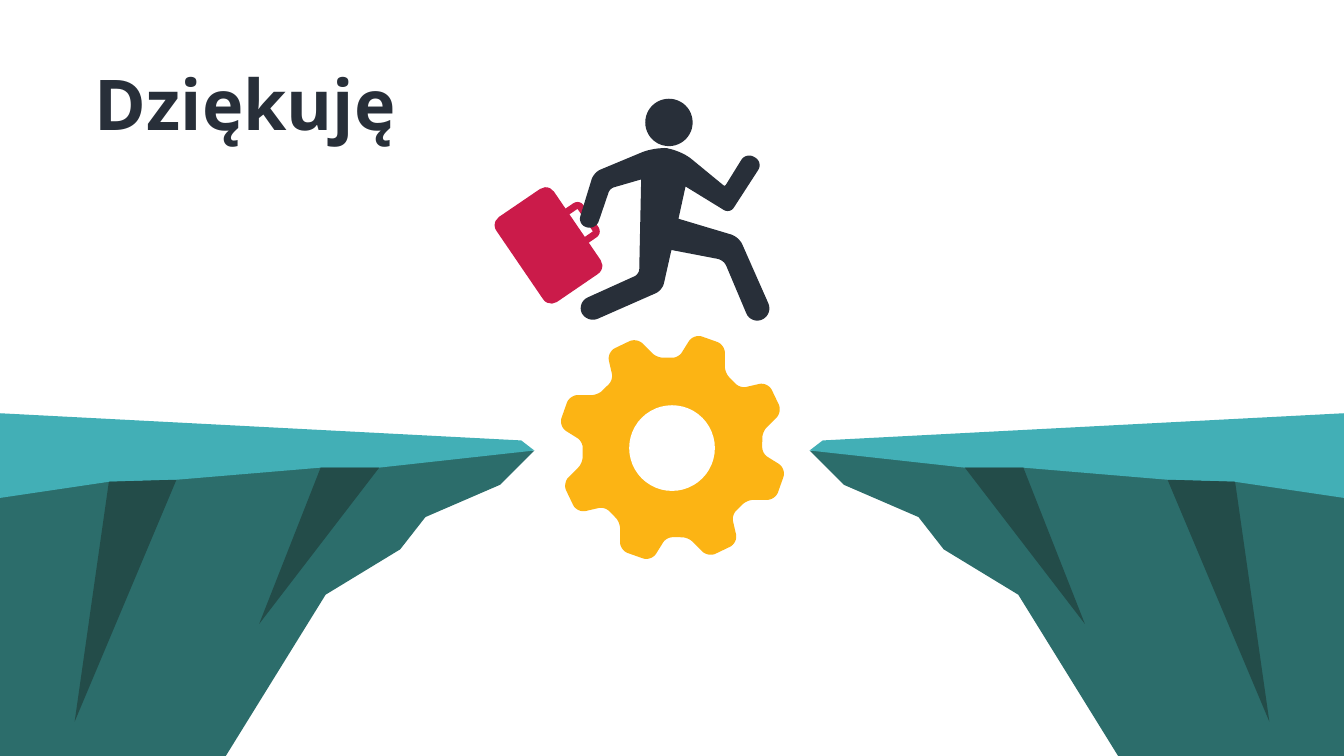
from dataclasses import dataclass
from math import cos, hypot, radians, sin

from pptx import Presentation
from pptx.dml.color import RGBColor
from pptx.enum.shapes import MSO_SHAPE
from pptx.enum.text import MSO_ANCHOR, PP_ALIGN
from pptx.util import Inches, Pt

SLIDE_WIDTH, SLIDE_HEIGHT = 13.33, 7.5
NAVY, RED, YELLOW, WHITE = "282F39", "CB1B4A", "FCB414", "FFFFFF"
ROCK, GRASS, CRACK = "2C6D6B", "42AFB6", "234C49"
TITLE_FONT = "Noto Sans"
CURVE_STEPS = 8

Point = tuple[float, float]
Corner = tuple[float, float, float]  # x, y, length rounded off each side


@dataclass
class Facet:
    color: str
    points: list[Point]


@dataclass
class Preset:
    kind: MSO_SHAPE
    left: float
    top: float
    width: float
    height: float
    fill: str | None = None
    line: str | None = None
    line_width: float = 0
    rotation: float = 0
    rounding: float | None = None


# Cliff on the left side; the right one is its mirror image
CLIFF = [
    Facet(ROCK, [(4.96, 4.81), (4.22, 5.13), (3.97, 5.45), (3.23, 5.9), (2.24, 7.5),
                 (0, 7.5), (0, 4.78), (5.3, 4.47)]),
    Facet(GRASS, [(5.3, 4.47), (3.76, 4.64), (3.18, 4.64), (1.75, 4.76), (1.08, 4.78),
                  (0, 4.94), (0, 4.1), (5.17, 4.37)]),
    Facet(CRACK, [(0.74, 7.16), (1.08, 4.78), (1.75, 4.76)]),
    Facet(CRACK, [(2.57, 6.19), (3.18, 4.64), (3.76, 4.64)]),
]

# One gear tooth, relative to the gear centre
GEAR_CENTER = (6.67, 4.44)
TOOTH_COUNT = 8
TOOTH: list[Corner] = [
    (0.06, -0.89, 0.06), (0.21, -1.13, 0.09), (0.52, -1.02, 0.08), (0.52, -0.74, 0.06),
]
GEAR_HOLE = Preset(MSO_SHAPE.OVAL, 6.24, 4.02, 0.85, 0.85, WHITE)

BRIEFCASE = [
    Preset(MSO_SHAPE.ROUNDED_RECTANGLE, 5.56, 2.11, 0.34, 0.25, line=RED, line_width=5,
           rotation=55.7, rounding=0.142),
    Preset(MSO_SHAPE.ROUNDED_RECTANGLE, 4.93, 2.09, 1.02, 0.69, RED,
           rotation=55.7, rounding=0.142),
]

RUNNER_BODY: list[Corner] = [
    # Back arm
    (6.36, 1.78, 0), (6.05, 1.87, 0.04), (5.91, 2.28, 0.09), (5.73, 2.23, 0.09),
    (5.89, 1.71, 0.07),
    # Shoulders and front arm
    (6.49, 1.46, 0.13), (6.74, 1.48, 0.15), (7.19, 1.85, 0.02), (7.4, 1.51, 0.09),
    (7.57, 1.61, 0.09), (7.24, 2.12, 0.07),
    # Front leg
    (6.8, 1.85, 0), (6.73, 2.17, 0), (7.33, 2.35, 0.08), (7.67, 3.12, 0.12),
    (7.45, 3.22, 0.12), (7.18, 2.58, 0.06),
    # Back leg
    (6.66, 2.48, 0), (6.57, 2.88, 0.07), (5.82, 3.21, 0.12), (5.72, 3.0, 0.12),
    (6.34, 2.72, 0.05),
]
RUNNER_HEAD = Preset(MSO_SHAPE.OVAL, 6.4, 0.98, 0.47, 0.47, NAVY)


def rgb(color: str) -> RGBColor:
    return RGBColor.from_string(color)


def mirrored(points: list[Point]) -> list[Point]:
    return [(SLIDE_WIDTH - x, y) for x, y in points]


def toward(start: Point, end: Point, distance: float) -> Point:
    share = distance / hypot(end[0] - start[0], end[1] - start[1])
    return start[0] + share * (end[0] - start[0]), start[1] + share * (end[1] - start[1])


def rounded_outline(corners: list[Corner]) -> list[Point]:
    """Replace each rounded corner by points on a cubic curve."""
    outline: list[Point] = []
    for index, (x, y, cut) in enumerate(corners):
        if not cut:
            outline.append((x, y))
            continue
        tip = (x, y)
        start = toward(tip, corners[index - 1][:2], cut)
        end = toward(tip, corners[(index + 1) % len(corners)][:2], cut)
        first = toward(start, tip, 0.55 * cut)
        second = toward(end, tip, 0.55 * cut)
        for step in range(CURVE_STEPS + 1):
            t = step / CURVE_STEPS
            weights = ((1 - t) ** 3, 3 * t * (1 - t) ** 2, 3 * t * t * (1 - t), t ** 3)
            controls = (start, first, second, end)
            outline.append((sum(w * p[0] for w, p in zip(weights, controls)),
                            sum(w * p[1] for w, p in zip(weights, controls))))
    return outline


def gear_corners() -> list[Corner]:
    corners: list[Corner] = []
    for number in range(TOOTH_COUNT):
        angle = radians(360 / TOOTH_COUNT * number)
        for x, y, cut in TOOTH:
            corners.append((GEAR_CENTER[0] + x * cos(angle) - y * sin(angle),
                            GEAR_CENTER[1] + x * sin(angle) + y * cos(angle), cut))
    return corners


def draw_outline(slide, points: list[Point], color: str) -> None:
    vertices = [(Inches(x), Inches(y)) for x, y in points]
    builder = slide.shapes.build_freeform(*vertices[0])
    builder.add_line_segments(vertices[1:], close=True)
    shape = builder.convert_to_shape()
    shape.shadow.inherit = False
    shape.fill.solid()
    shape.fill.fore_color.rgb = rgb(color)
    shape.line.fill.background()


def draw_preset(slide, preset: Preset) -> None:
    shape = slide.shapes.add_shape(
        preset.kind, Inches(preset.left), Inches(preset.top),
        Inches(preset.width), Inches(preset.height))
    shape.shadow.inherit = False
    shape.rotation = preset.rotation
    if preset.rounding is not None:
        shape.adjustments[0] = preset.rounding
    if preset.fill:
        shape.fill.solid()
        shape.fill.fore_color.rgb = rgb(preset.fill)
    else:
        shape.fill.background()
    if preset.line:
        shape.line.color.rgb = rgb(preset.line)
        shape.line.width = Pt(preset.line_width)
    else:
        shape.line.fill.background()


def write_text(shape, text: str, *, size: float, color: str, font: str, bold: bool) -> None:
    frame = shape.text_frame
    frame.word_wrap = True
    frame.vertical_anchor = MSO_ANCHOR.TOP
    frame.margin_left = frame.margin_right = Inches(0.1)
    frame.margin_top = frame.margin_bottom = 0
    paragraph = frame.paragraphs[0]
    paragraph.alignment = PP_ALIGN.LEFT
    paragraph.line_spacing = 1.0
    paragraph.space_before = Pt(0)
    run = paragraph.add_run()
    run.text = text
    run.font.size = Pt(size)
    run.font.name = font
    run.font.bold = bold
    run.font.color.rgb = rgb(color)


def main() -> None:
    presentation = Presentation()
    presentation.slide_width = Inches(SLIDE_WIDTH)
    presentation.slide_height = Inches(SLIDE_HEIGHT)
    slide = presentation.slides.add_slide(presentation.slide_layouts[5])

    # Title
    title = slide.shapes.title
    title.left, title.top = Inches(0.84), Inches(0.6)
    title.width, title.height = Inches(12.22), Inches(0.94)
    write_text(title, "Dziękuję", size=50, color=NAVY, font=TITLE_FONT, bold=True)

    # Cliffs
    for facet in CLIFF:
        draw_outline(slide, facet.points, facet.color)
        draw_outline(slide, mirrored(facet.points), facet.color)

    # Gear
    draw_outline(slide, rounded_outline(gear_corners()), YELLOW)
    draw_preset(slide, GEAR_HOLE)

    # Runner with briefcase
    for part in BRIEFCASE:
        draw_preset(slide, part)
    draw_outline(slide, rounded_outline(RUNNER_BODY), NAVY)
    draw_preset(slide, RUNNER_HEAD)

    presentation.save("out.pptx")


if __name__ == "__main__":
    main()
